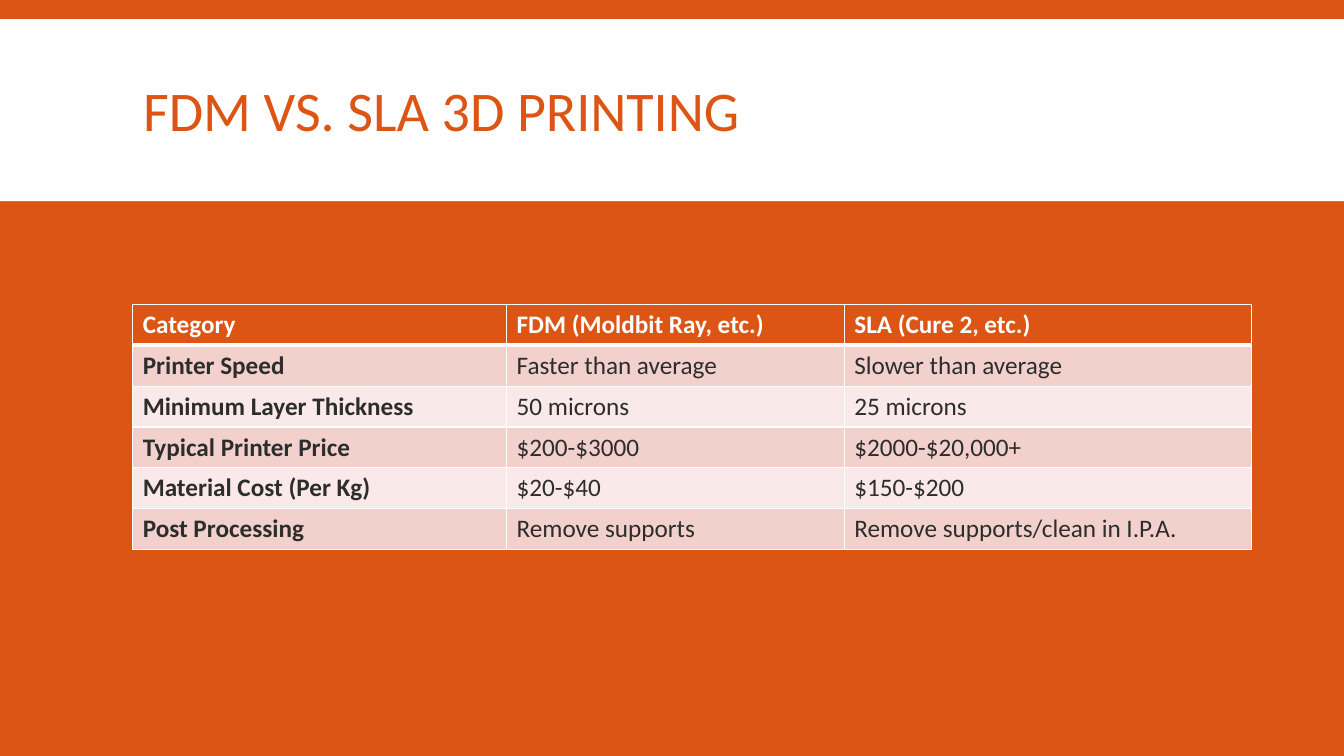
from lxml.etree import SubElement
from pptx import Presentation
from pptx.dml.color import RGBColor
from pptx.enum.shapes import MSO_SHAPE as Shape
from pptx.enum.text import MSO_ANCHOR as Anchor, MSO_AUTO_SIZE as AutoSize, PP_ALIGN as Align
from pptx.oxml.ns import qn
from pptx.util import Pt

ORANGE, WHITE, DARK = "DD5515", "FFFFFF", "2D2D2D"
BANDS = ["F2D1CC", "F9E9E8"]
ROWS = [
    ["Category", "FDM (Moldbit Ray, etc.)", "SLA (Cure 2, etc.)"],
    ["Printer Speed", "Faster than average", "Slower than average"],
    ["Minimum Layer Thickness", "50 microns", "25 microns"],
    ["Typical Printer Price", "$200-$3000", "$2000-$20,000+"],
    ["Material Cost (Per Kg)", "$20-$40", "$150-$200"],
    ["Post Processing", "Remove supports", "Remove supports/clean in I.P.A."],
]


def paint(color_format, color):
    color_format.rgb = RGBColor.from_string(color)


def write(frame, text, size=18, color=DARK, bold=False, spacing=None):
    paragraph = frame.paragraphs[0]
    paragraph.alignment = Align.LEFT
    paragraph.line_spacing = spacing
    run = paragraph.add_run()
    run.text = text
    run.font.name = "Calibri"
    run.font.size = Pt(size)
    run.font.bold = bold
    paint(run.font.color, color)


class SlideBuilder:
    def __init__(self, presentation, background):
        self.slide = presentation.slides.add_slide(presentation.slide_layouts[5])
        fill = self.slide.background.fill
        fill.solid()
        paint(fill.fore_color, background)

    def band(self, left, top, width, height, color):
        shape = self.slide.shapes.add_shape(
            Shape.RECTANGLE, Pt(left), Pt(top), Pt(width), Pt(height))
        shape.shadow.inherit = False
        shape.fill.solid()
        paint(shape.fill.fore_color, color)
        shape.line.fill.background()

    def title(self, text, left, top, width, height):
        title = self.slide.shapes.title
        title.left, title.top = Pt(left), Pt(top)
        title.width, title.height = Pt(width), Pt(height)
        shape_tree = self.slide.shapes._spTree
        shape_tree.remove(title._element)
        shape_tree.append(title._element)
        frame = title.text_frame
        frame.auto_size = AutoSize.NONE
        frame.word_wrap = True
        frame.vertical_anchor = Anchor.MIDDLE
        write(frame, text, size=40, color=ORANGE, spacing=0.85)

    def border(self, cell, side, width):
        properties = cell._tc.get_or_add_tcPr()
        line = SubElement(properties, qn(f"a:ln{side}"), w=str(Pt(width)))
        fill = SubElement(line, qn("a:solidFill"))
        SubElement(fill, qn("a:srgbClr"), val=WHITE)

    def table(self, rows, left, top, widths, row_height):
        table = self.slide.shapes.add_table(
            len(rows), len(widths), Pt(left), Pt(top),
            Pt(sum(widths)), Pt(row_height * len(rows))).table
        for column, width in zip(table.columns, widths):
            column.width = Pt(width)
        for row_index, texts in enumerate(rows):
            header = row_index == 0
            table.rows[row_index].height = Pt(row_height)
            for column_index, text in enumerate(texts):
                cell = table.cell(row_index, column_index)
                for side in "LRTB":
                    below_header = (row_index, side) in [(0, "B"), (1, "T")]
                    self.border(cell, side, 3 if below_header else 1)
                cell.fill.solid()
                paint(cell.fill.fore_color, ORANGE if header else BANDS[(row_index - 1) % 2])
                write(cell.text_frame, text, color=WHITE if header else DARK,
                      bold=header or column_index == 0)


def main():
    presentation = Presentation()
    presentation.slide_width, presentation.slide_height = Pt(960), Pt(540)
    builder = SlideBuilder(presentation, ORANGE)
    builder.band(0, 13.7, 960, 129.9, WHITE)
    builder.title("FDM VS. SLA 3D PRINTING", 95, 22.3, 770.4, 118.8)
    builder.table(ROWS, 94.8, 217.4, [267.1, 241.2, 290.9], 29.16)
    presentation.save("out.pptx")


if __name__ == "__main__":
    main()
